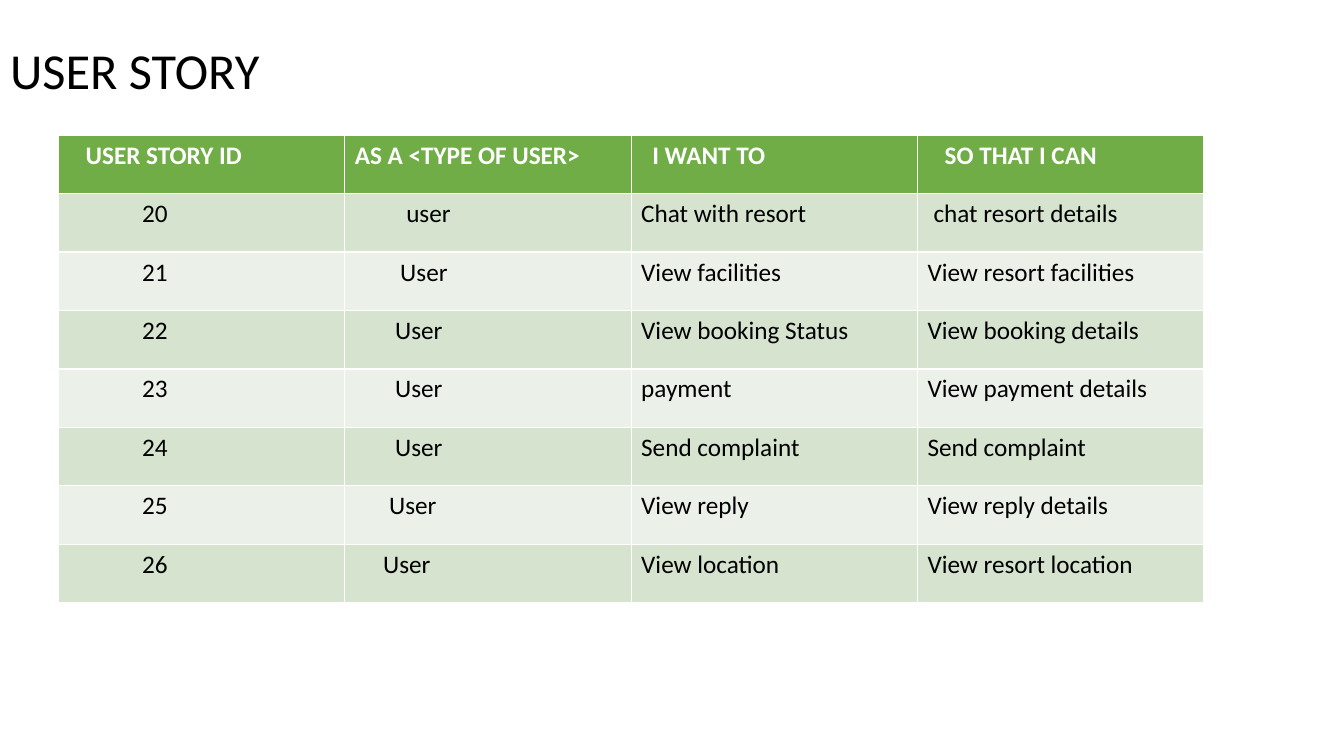
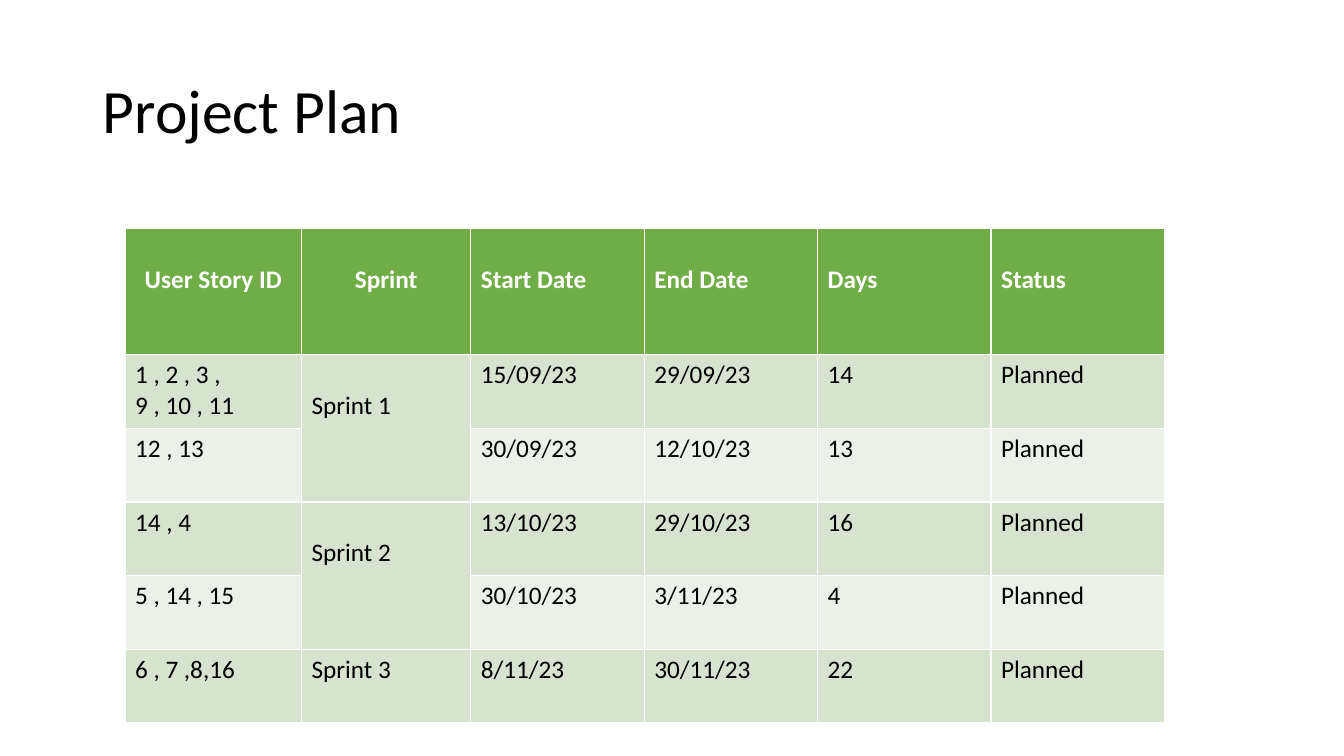
from dataclasses import dataclass

from pptx import Presentation
from pptx.dml.color import RGBColor
from pptx.enum.text import MSO_ANCHOR, MSO_AUTO_SIZE, PP_ALIGN
from pptx.util import Emu, Pt

EMU_PER_PX = 9144
SLIDE_WIDTH, SLIDE_HEIGHT = 1333, 750
TITLE_WIDTH, TITLE_HEIGHT = 1150, 145
CELL_TOP = 5
LINE_HEIGHT = 30
TITLE_ONLY_LAYOUT = 5

FONT = "Calibri"
TABLE_SIZE = 18
BLACK = RGBColor(0x00, 0x00, 0x00)
WHITE = RGBColor(0xFF, 0xFF, 0xFF)
HEADER_GREEN = RGBColor(0x70, 0xAD, 0x47)
BAND_GREENS = (RGBColor(0xD5, 0xE3, 0xCF), RGBColor(0xEB, 0xF1, 0xE9))


@dataclass(frozen=True)
class Entry:
    """Table text; indent is in px, lowered counts lines, rows is the row span."""
    text: str
    indent: int = 0
    lowered: int = 0
    rows: int = 1
    align: PP_ALIGN = PP_ALIGN.LEFT


@dataclass(frozen=True)
class Grid:
    left: int
    top: int
    columns: list[int]
    row_heights: list[int]
    rows: list[list[Entry | None]]


def px(length: int) -> Emu:
    return Emu(length * EMU_PER_PX)


def add_titled_slide(deck, heading: str, left: int, top: int, size: int):
    slide = deck.slides.add_slide(deck.slide_layouts[TITLE_ONLY_LAYOUT])
    title = slide.shapes.title
    title.left, title.top = px(left), px(top)
    title.width, title.height = px(TITLE_WIDTH), px(TITLE_HEIGHT)
    frame = title.text_frame
    frame.text = heading
    frame.word_wrap = True
    frame.auto_size = MSO_AUTO_SIZE.NONE
    frame.vertical_anchor = MSO_ANCHOR.MIDDLE
    line = frame.paragraphs[0]
    line.alignment = PP_ALIGN.LEFT
    line.line_spacing = 0.9
    line.font.name, line.font.size = FONT, Pt(size)
    line.font.color.rgb = BLACK
    return slide


def fill_cell(cell, entry: Entry, is_header: bool) -> None:
    cell.text = entry.text
    cell.margin_top = px(CELL_TOP + entry.lowered * LINE_HEIGHT)
    for line in cell.text_frame.paragraphs:
        line.alignment = entry.align
        if entry.indent:
            line._p.get_or_add_pPr().set("marL", str(px(entry.indent)))
        line.font.name, line.font.size = FONT, Pt(TABLE_SIZE)
        line.font.bold = is_header
        line.font.color.rgb = WHITE if is_header else BLACK


def add_grid(slide, grid: Grid) -> None:
    table = slide.shapes.add_table(
        len(grid.rows), len(grid.columns), px(grid.left), px(grid.top),
        px(sum(grid.columns)), px(sum(grid.row_heights))).table
    for column, width in zip(table.columns, grid.columns):
        column.width = px(width)
    for row, height in zip(table.rows, grid.row_heights):
        row.height = px(height)
    for r, entries in enumerate(grid.rows):
        for c, entry in enumerate(entries):
            cell = table.cell(r, c)
            cell.fill.solid()
            cell.fill.fore_color.rgb = BAND_GREENS[(r - 1) % 2] if r else HEADER_GREEN
            if entry is None:
                continue
            if entry.rows > 1:
                cell.merge(table.cell(r + entry.rows - 1, c))
            fill_cell(cell, entry, is_header=r == 0)


def user_story_grid() -> Grid:
    header = [Entry("USER STORY ID", 17), Entry("AS A <TYPE OF USER>"),
              Entry("I WANT TO", 11), Entry("SO THAT I CAN", 17)]
    stories = [
        (Entry("user", 51), "Chat with resort", Entry("chat resort details", 6)),
        (Entry("User", 45), "View facilities", Entry("View resort facilities")),
        (Entry("User", 40), "View booking Status", Entry("View booking details")),
        (Entry("User", 40), "payment", Entry("View payment details")),
        (Entry("User", 40), "Send complaint", Entry("Send complaint")),
        (Entry("User", 34), "View reply", Entry("View reply details")),
        (Entry("User", 28), "View location", Entry("View resort location")),
    ]
    rows = [[Entry(str(story_id), 73), user, Entry(wish), goal]
            for story_id, (user, wish, goal) in enumerate(stories, start=20)]
    return Grid(58, 134, [284] * 4, [58] * 8, [header, *rows])


def project_plan_grid() -> Grid:
    headings = ["User Story ID", "Sprint", "Start Date", "End Date", "Days", "Status"]
    header = [Entry(heading, lowered=1,
                    align=PP_ALIGN.CENTER if c < 2 else PP_ALIGN.LEFT)
              for c, heading in enumerate(headings)]
    plan = [
        ("1 , 2 , 3 ,\n9 , 10 , 11", Entry("Sprint 1", lowered=1, rows=2),
         "15/09/23", "29/09/23", 14),
        ("12 , 13", None, "30/09/23", "12/10/23", 13),
        ("14 , 4", Entry("Sprint 2", lowered=1, rows=2), "13/10/23", "29/10/23", 16),
        ("5 , 14 , 15", None, "30/10/23", "3/11/23", 4),
        ("6 , 7 ,8,16", Entry("Sprint 3"), "8/11/23", "30/11/23", 22),
    ]
    rows = [[Entry(stories), sprint, Entry(start), Entry(end), Entry(str(days)),
             Entry("Planned")]
            for stories, sprint, start, end, days in plan]
    return Grid(124, 227, [175, 168] + [172] * 4, [125] + [73] * 5, [header, *rows])


def main() -> None:
    deck = Presentation()
    deck.slide_width, deck.slide_height = px(SLIDE_WIDTH), px(SLIDE_HEIGHT)
    add_grid(add_titled_slide(deck, "USER STORY", 0, 0, 36), user_story_grid())
    add_grid(add_titled_slide(deck, "Project Plan", 92, 40, 44), project_plan_grid())
    deck.save("out.pptx")


if __name__ == "__main__":
    main()
